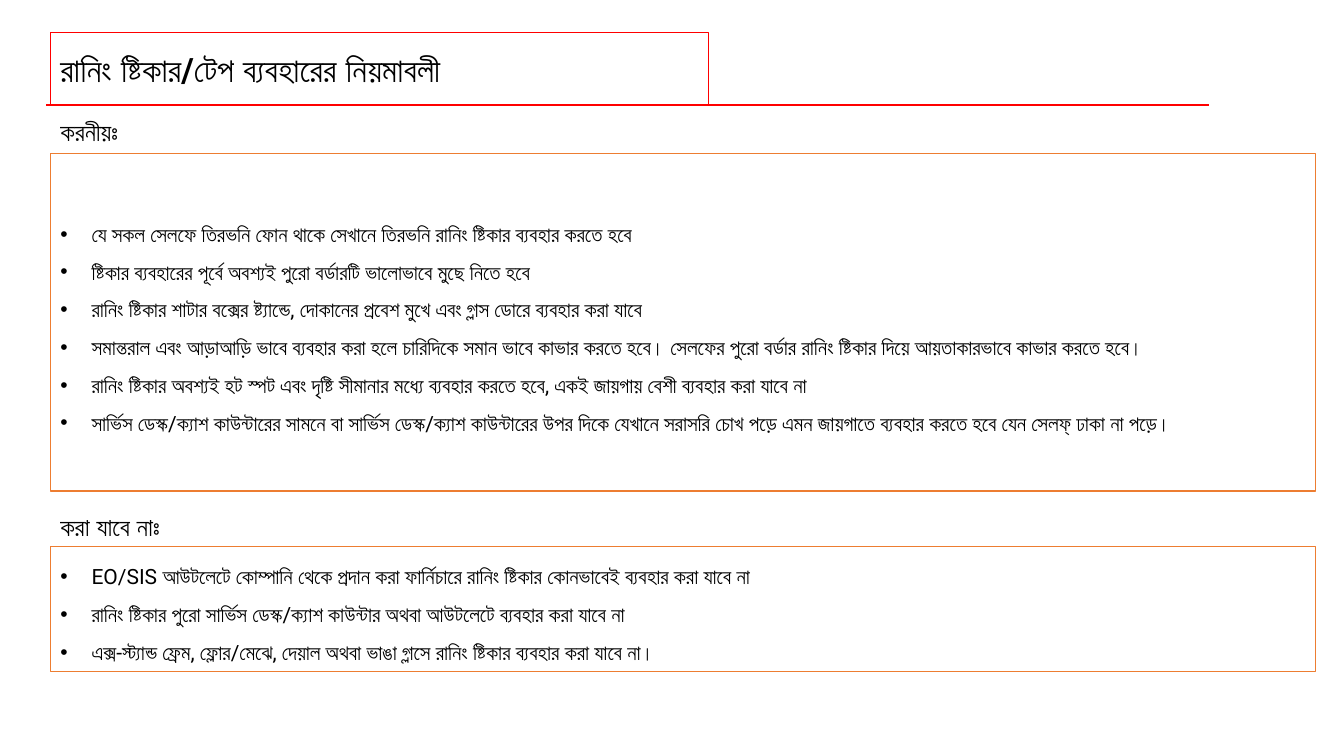
from lxml import etree
from pptx import Presentation
from pptx.dml.color import RGBColor
from pptx.enum.shapes import MSO_CONNECTOR, MSO_SHAPE
from pptx.enum.text import MSO_ANCHOR, MSO_AUTO_SIZE, PP_ALIGN
from pptx.oxml.ns import qn
from pptx.util import Inches, Pt

TITLE = "রানিং ষ্টিকার/টেপ ব্যবহারের নিয়মাবলী"

# Each section: heading, heading top, heading width, box top, box height, anchor, fit, rules
SECTIONS = [
    ("করনীয়ঃ", 1.11, 5.05, 1.52, 3.35, MSO_ANCHOR.MIDDLE, MSO_AUTO_SIZE.NONE, [
        "যে সকল সেলফে তিরভনি ফোন থাকে সেখানে তিরভনি রানিং ষ্টিকার ব্যবহার করতে হবে",
        "ষ্টিকার ব্যবহারের পূর্বে অবশ্যই পুরো বর্ডারটি ভালোভাবে মুছে নিতে হবে",
        "রানিং ষ্টিকার শাটার বক্সের ষ্ট্যান্ডে, দোকানের প্রবেশ মুখে এবং গ্লাস ডোরে ব্যবহার করা যাবে",
        "সমান্তরাল এবং আড়াআড়ি ভাবে ব্যবহার করা হলে চারিদিকে সমান ভাবে কাভার করতে হবে। "
        "সেলফের পুরো বর্ডার রানিং ষ্টিকার দিয়ে আয়তাকারভাবে কাভার করতে হবে।",
        "রানিং ষ্টিকার অবশ্যই হট স্পট এবং দৃষ্টি সীমানার মধ্যে ব্যবহার করতে হবে, "
        "একই জায়গায় বেশী ব্যবহার করা যাবে না",
        "সার্ভিস ডেস্ক/ক্যাশ কাউন্টারের সামনে বা সার্ভিস ডেস্ক/ক্যাশ কাউন্টারের উপর দিকে "
        "যেখানে সরাসরি চোখ পড়ে এমন জায়গাতে ব্যবহার করতে হবে যেন সেলফ্ ঢাকা না পড়ে।",
    ]),
    ("করা যাবে নাঃ", 5.02, 5.5, 5.42, 1.24, MSO_ANCHOR.TOP, MSO_AUTO_SIZE.SHAPE_TO_FIT_TEXT, [
        "EO/SIS আউটলেটে কোম্পানি থেকে প্রদান করা ফার্নিচারে রানিং ষ্টিকার কোনভাবেই ব্যবহার করা যাবে না",
        "রানিং ষ্টিকার পুরো সার্ভিস ডেস্ক/ক্যাশ কাউন্টার অথবা আউটলেটে ব্যবহার করা যাবে না",
        "এক্স-স্ট্যান্ড ফ্রেম, ফ্লোর/মেঝে, দেয়াল অথবা ভাঙা গ্লাসে রানিং ষ্টিকার ব্যবহার করা যাবে না।",
    ]),
]

FONT = "Roboto"
BLACK = RGBColor(0x00, 0x00, 0x00)
WHITE = RGBColor(0xFF, 0xFF, 0xFF)
RED = RGBColor(0xFF, 0x00, 0x00)
ORANGE = RGBColor(0xED, 0x7D, 0x31)

LEFT = 0.5
BOX_WIDTH = 12.55
HEADING_HEIGHT = 0.4
BULLET_INDENT = Inches(0.31)


def style(paragraph, size, bold=False):
    paragraph.alignment = PP_ALIGN.LEFT
    font = paragraph.font
    font.name, font.size, font.bold = FONT, Pt(size), bold
    font.color.rgb = BLACK


def add_bullet(paragraph):
    """Give the paragraph a hanging round bullet."""
    properties = paragraph._p.get_or_add_pPr()
    properties.set("marL", str(BULLET_INDENT))
    properties.set("indent", str(-BULLET_INDENT))
    # Bullet elements must come before the default run properties.
    properties.insert_element_before(
        properties.makeelement(qn("a:buFont"), {"typeface": "Arial"}), "a:defRPr")
    properties.insert_element_before(
        properties.makeelement(qn("a:buChar"), {"char": "•"}), "a:defRPr")


def add_frame(slide, top, width, height, color):
    """Add a white, outlined rectangle and return its text frame."""
    frame = slide.shapes.add_shape(
        MSO_SHAPE.RECTANGLE, Inches(LEFT), Inches(top), Inches(width), Inches(height))
    frame.shadow.inherit = False
    frame.fill.solid()
    frame.fill.fore_color.rgb = WHITE
    frame.line.color.rgb = color
    frame.line.width = Pt(1)
    frame.text_frame.word_wrap = True
    return frame.text_frame


def add_title(slide):
    underline = slide.shapes.add_connector(
        MSO_CONNECTOR.STRAIGHT, Inches(11.99), Inches(1.04), Inches(0.46), Inches(1.04))
    underline.line.color.rgb = RED
    underline.line.width = Pt(1.5)
    etree.SubElement(underline._element.spPr, qn("a:effectLst"))

    title = add_frame(slide, 0.32, 6.53, 0.72, RED)
    title.vertical_anchor = MSO_ANCHOR.MIDDLE
    title.text = TITLE
    style(title.paragraphs[0], 24, bold=True)


def add_section(slide, heading, heading_top, heading_width, top, height, anchor, fit, rules):
    box = add_frame(slide, top, BOX_WIDTH, height, ORANGE)
    box.vertical_anchor = anchor
    box.auto_size = fit
    box.text = "\n".join(rules)
    for rule in box.paragraphs:
        style(rule, 15)
        rule.line_spacing = 1.5
        add_bullet(rule)

    label = slide.shapes.add_textbox(
        Inches(LEFT), Inches(heading_top), Inches(heading_width), Inches(HEADING_HEIGHT)).text_frame
    label.word_wrap = True
    label.auto_size = MSO_AUTO_SIZE.SHAPE_TO_FIT_TEXT
    label.text = heading
    style(label.paragraphs[0], 18, bold=True)


def main():
    deck = Presentation()
    deck.slide_width, deck.slide_height = Inches(13.33), Inches(7.5)
    slide = deck.slides.add_slide(deck.slide_layouts[6])
    add_title(slide)
    for section in SECTIONS:
        add_section(slide, *section)
    deck.save("out.pptx")


if __name__ == "__main__":
    main()
